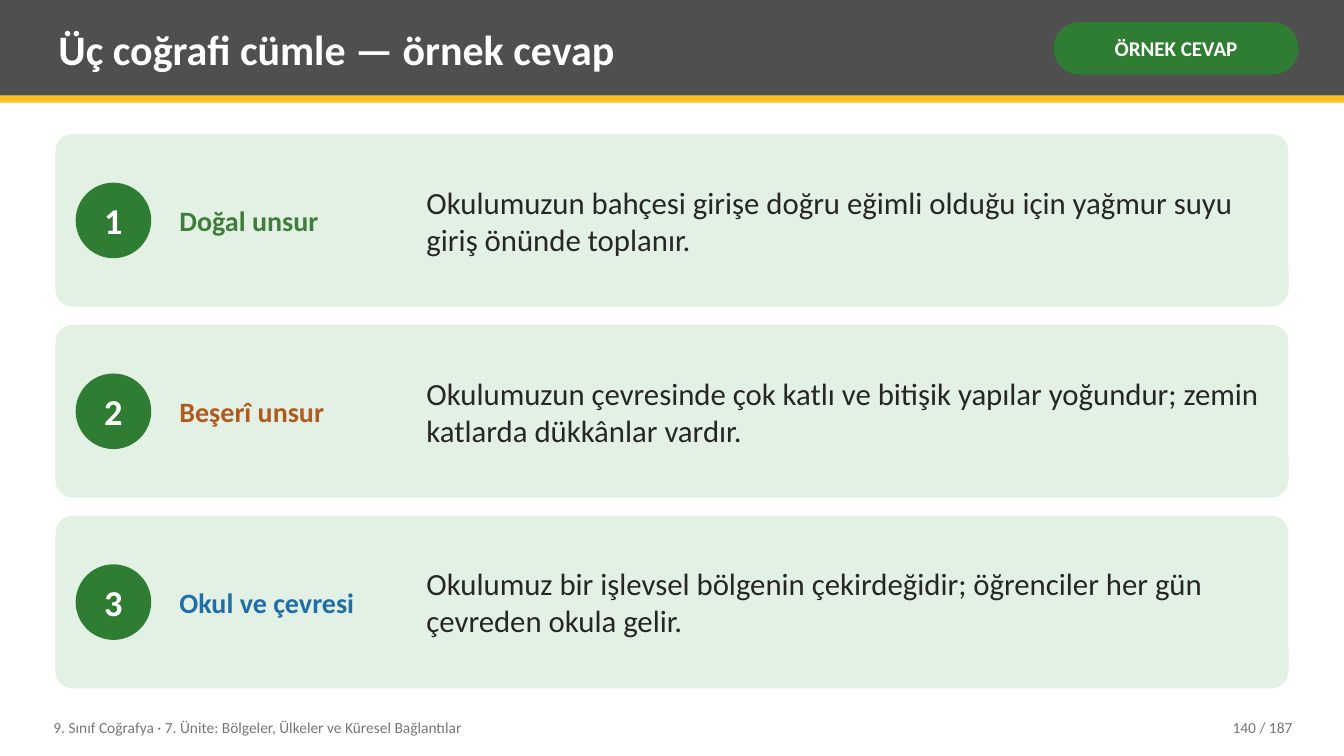
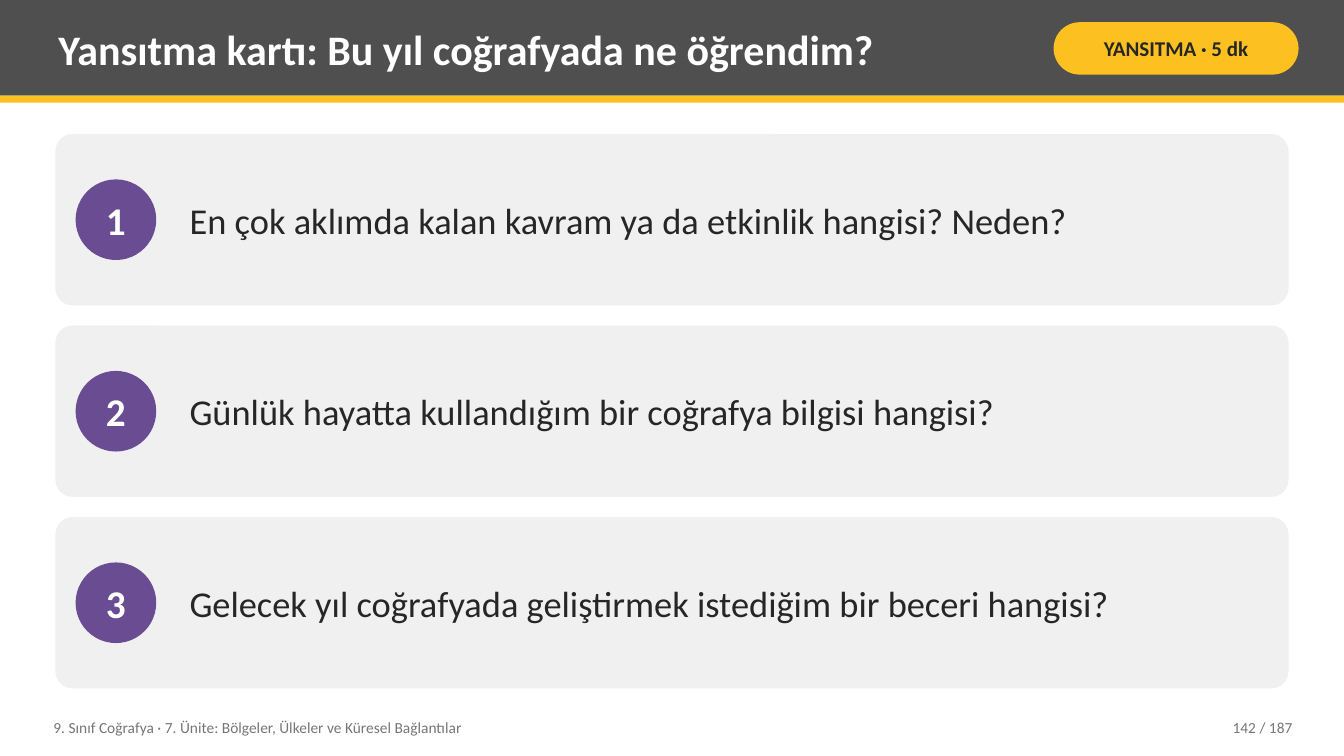
from pptx import Presentation
from pptx import util as u
from pptx.dml.color import RGBColor
from pptx.enum import shapes, text

WHITE = RGBColor(0xFF, 0xFF, 0xFF)
INK = RGBColor(0x26, 0x26, 0x26)
SLATE = RGBColor(0x4F, 0x4F, 0x4F)
GRAY = RGBColor(0x76, 0x76, 0x76)
PALE = RGBColor(0xF0, 0xF0, 0xF0)
GOLD = RGBColor(0xFC, 0xC0, 0x21)
GREEN = RGBColor(0x2E, 0x7D, 0x32)
MINT = RGBColor(0xE3, 0xF1, 0xE4)
LEAF = RGBColor(0x3E, 0x7D, 0x3A)
RUST = RGBColor(0xB0, 0x5A, 0x1E)
BLUE = RGBColor(0x1F, 0x6E, 0xA8)
PLUM = RGBColor(0x6A, 0x4C, 0x93)

UNIT = "9. Sınıf Coğrafya · 7. Ünite: Bölgeler, Ülkeler ve Küresel Bağlantılar"
TOTAL = 187

DECK = [
    {
        "title": "Üç coğrafi cümle — örnek cevap",
        "tag": ("ÖRNEK CEVAP", GREEN, WHITE),
        "page": 140,
        "card": MINT, "gap": 0.18,
        "disc": (0.75, GREEN, 26),
        "cols": [(1.7, 2.4, 20, True), (4.15, 8.48, 22, False)],
        "rows": [
            [("Doğal unsur", LEAF),
             ("Okulumuzun bahçesi girişe doğru eğimli olduğu için yağmur suyu giriş önünde toplanır.", INK)],
            [("Beşerî unsur", RUST),
             ("Okulumuzun çevresinde çok katlı ve bitişik yapılar yoğundur; zemin katlarda dükkânlar vardır.", INK)],
            [("Okul ve çevresi", BLUE),
             ("Okulumuz bir işlevsel bölgenin çekirdeğidir; öğrenciler her gün çevreden okula gelir.", INK)],
        ],
    },
    {
        "title": "Yansıtma kartı: Bu yıl coğrafyada ne öğrendim?",
        "tag": ("YANSITMA · 5 dk", GOLD, INK),
        "page": 142,
        "card": PALE, "gap": 0.2,
        "disc": (0.8, PLUM, 28),
        "cols": [(1.8, 10.78, 26, False)],
        "rows": [
            [("En çok aklımda kalan kavram ya da etkinlik hangisi? Neden?", INK)],
            [("Günlük hayatta kullandığım bir coğrafya bilgisi hangisi?", INK)],
            [("Gelecek yıl coğrafyada geliştirmek istediğim bir beceri hangisi?", INK)],
        ],
    },
]

WIDE, TALL = 13.33, 7.5
BAND, RULE = 0.95, 0.07
LEFT, TOP, BASE = 0.55, 1.33, 6.83
SPAN = WIDE - 2 * LEFT
INSET = 0.2
FOOT = 7.04, 0.36
KIND = shapes.MSO_SHAPE
ALIGN = text.PP_ALIGN


def place(*box):
    return [u.Inches(n) for n in box]


def write(shape, words, size, color, bold=False, align=ALIGN.LEFT, pad=(0.08, 0.04), wrap=True):
    frame = shape.text_frame
    side, edge = place(*pad)
    look = {
        "margin_left": side, "margin_right": side,
        "margin_top": edge, "margin_bottom": edge,
        "auto_size": text.MSO_AUTO_SIZE.NONE, "word_wrap": wrap,
        "vertical_anchor": text.MSO_ANCHOR.MIDDLE,
    }
    for key, val in look.items():
        setattr(frame, key, val)
    para = frame.paragraphs[0]
    para.alignment = align
    run = para.add_run()
    run.text = words
    for key, val in {"name": "Calibri", "size": u.Pt(size), "bold": bold}.items():
        setattr(run.font, key, val)
    run.font.color.rgb = color


def draw(slide, kind, box, fill, curve=None):
    shape = slide.shapes.add_shape(kind, *place(*box))
    shape.shadow.inherit = False
    shape.fill.solid()
    shape.fill.fore_color.rgb = fill
    shape.line.fill.background()
    if curve is not None:
        shape.adjustments[0] = curve
    return shape


def label(slide, box, *args, **opts):
    write(slide.shapes.add_textbox(*place(*box)), *args, **opts)


def frame(slide, data):
    title = slide.shapes.title
    for top, high, fill in [(0, BAND, SLATE), (BAND, RULE, GOLD)]:
        band = draw(slide, KIND.RECTANGLE, (0, top, WIDE, high), fill)
        title.element.addprevious(band.element)
    spot = place(0.5, 0.07, 9.75, 0.82)
    for key, val in zip(("left", "top", "width", "height"), spot):
        setattr(title, key, val)
    write(title, data["title"], 30, WHITE, bold=True)
    words, fill, color = data["tag"]
    tag = draw(slide, KIND.ROUNDED_RECTANGLE, (10.45, 0.22, 2.43, 0.52), fill, 0.5)
    write(tag, words, 15, color, bold=True, align=ALIGN.CENTER, pad=(0.05, 0.02))


def cards(slide, data):
    rows, gap = data["rows"], data["gap"]
    high = (BASE - TOP - gap * (len(rows) - 1)) / len(rows)
    side, fill, size = data["disc"]
    for i, row in enumerate(rows):
        top = TOP + i * (high + gap)
        draw(slide, KIND.ROUNDED_RECTANGLE, (LEFT, top, SPAN, high), data["card"], 0.1)
        disc = draw(slide, KIND.OVAL, (LEFT + INSET, top + (high - side) / 2, side, side), fill)
        write(disc, str(i + 1), size, WHITE, bold=True, align=ALIGN.CENTER, pad=(0, 0), wrap=False)
        for (left, wide, pts, bold), (words, color) in zip(data["cols"], row):
            label(slide, (left, top, wide, high), words, pts, color, bold=bold)


def footer(slide, page):
    top, high = FOOT
    label(slide, (0.45, top, 7.6, high), UNIT, 11, GRAY)
    label(slide, (11.3, top, 1.6, high), f"{page} / {TOTAL}", 11, GRAY, align=ALIGN.RIGHT)


def main():
    deck = Presentation()
    deck.slide_width, deck.slide_height = place(WIDE, TALL)
    for data in DECK:
        slide = deck.slides.add_slide(deck.slide_layouts.get_by_name("Title Only"))
        frame(slide, data)
        cards(slide, data)
        footer(slide, data["page"])
    deck.save("out.pptx")


if __name__ == "__main__":
    main()
